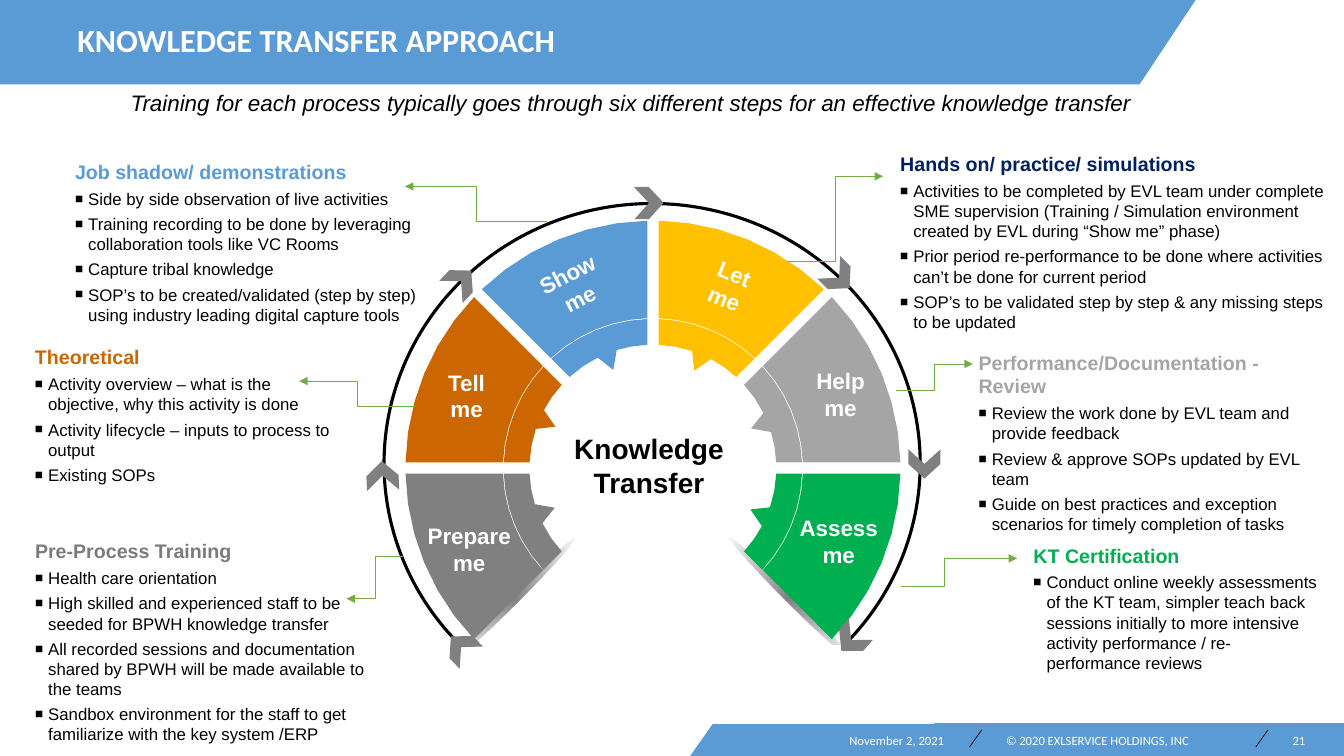
from dataclasses import dataclass
from math import asin, atan2, cos, degrees, radians, sin

from lxml import etree
from pptx import Presentation
from pptx import util as u
from pptx.dml.color import RGBColor
from pptx.enum import shapes, text
from pptx.oxml import parse_xml
from pptx.oxml.ns import nsdecls, qn

Pt = u.Pt


@dataclass(frozen=True)
class Theme:
    blue: str = "5B9BD5"
    orange: str = "CC6600"
    yellow: str = "FFC000"
    silver: str = "A5A5A5"
    green: str = "00B050"
    grey: str = "808080"
    dark_grey: str = "7B7B7B"
    navy: str = "002060"
    pointer: str = "70AD47"
    black: str = "000000"
    white: str = "FFFFFF"
    title: float = 23
    hub: float = 20
    label: float = 16
    heading: float = 14
    body: float = 12
    footer: float = 9


T = Theme()


def add_run(p, words, size, colour, bold=False, italic=False, font="Arial"):
    r = p.add_run()
    r.text = words
    r.font.name, r.font.size = font, Pt(size)
    r.font.bold, r.font.italic = bold, italic
    r.font.color.rgb = RGBColor.from_string(colour)


def add_box(x, y, w, h, inset_x=0, inset_y=0):
    sp = s.shapes.add_textbox(Pt(x), Pt(y), Pt(w), Pt(h))
    tf = sp.text_frame
    tf.word_wrap = True
    tf.margin_left = tf.margin_right = Pt(inset_x)
    tf.margin_top = tf.margin_bottom = Pt(inset_y)
    return sp


prs = Presentation()
prs.slide_width, prs.slide_height = Pt(960), Pt(540)
s = prs.slides.add_slide(prs.slide_layouts[5])

# Title
title = s.shapes.title
title.left, title.top, title.width, title.height = Pt(48), Pt(7), Pt(758), Pt(46)
tf = title.text_frame
tf.word_wrap = True
tf.auto_size = text.MSO_AUTO_SIZE.NONE
tf.vertical_anchor = text.MSO_ANCHOR.MIDDLE
p = tf.paragraphs[0]
p.alignment, p.line_spacing = text.PP_ALIGN.LEFT, 0.9
add_run(p, "KNOWLEDGE TRANSFER APPROACH", T.title, T.white, bold=True, font="Calibri")

# Soft shadows under the two open ends of the wheel
for x, y, turn in [(306, 424, 315), (502.5, 423.5, 45)]:
    sp = s.shapes.add_shape(shapes.MSO_SHAPE.OVAL, Pt(x), Pt(y), Pt(123), Pt(7.2))
    sp.rotation = turn
    sp.shadow.inherit = False
    sp.line.fill.background()
    stops = "".join(
        f'<a:gs pos="{pos}"><a:srgbClr val="{T.black}"><a:alpha val="{alpha}"/></a:srgbClr></a:gs>'
        for pos, alpha in [(0, 50000), (99000, 0)])
    sp.element.spPr.find(qn("a:prstGeom")).addnext(parse_xml(
        f'<a:gradFill {nsdecls("a")}><a:gsLst>{stops}</a:gsLst><a:path path="shape">'
        '<a:fillToRect l="50000" t="50000" r="50000" b="50000"/></a:path></a:gradFill>'))

# Outlines: bands, then a toothed rim and a panel for each 45 degree step
outlines = [
    (T.blue, [(0, 0), (854, 0), (814, 60.3), (0, 60.3)]),
    (T.blue, [(509.5, 516.5), (960, 516.5), (960, 540), (493, 540)]),
]
hub_x, hub_y, half_gap, arc_steps = 466.4, 334.4, 4, 6
panel_out, panel_in, rim_out, rim_in, tooth_tip = 176.8, 107.2, 106.6, 88.2, 75.6
step_colours = [T.grey, T.orange, T.blue, T.yellow, T.silver, T.green]
for i, colour in enumerate(step_colours):
    arcs = {}
    for radius in (panel_out, panel_in, rim_out):
        trim = degrees(asin(half_gap / radius))
        arcs[radius] = [(radius, trim + (45 - 2 * trim) * k / arc_steps)
                        for k in range(arc_steps + 1)]
    trim = degrees(asin(half_gap / rim_in))
    inner = [(rim_in, trim), (rim_in, 10.5), (rim_in, 18.5), (tooth_tip, 23),
             (rim_in, 28), (rim_in, 35), (rim_in, 45 - trim)]
    for polar in (arcs[rim_out] + inner[::-1], arcs[panel_out] + arcs[panel_in][::-1]):
        outlines.append((colour, [
            (hub_x + r * cos(radians(135 + 45 * i + a)),
             hub_y + r * sin(radians(135 + 45 * i + a))) for r, a in polar]))

solids = []
for colour, points in outlines:
    points = [(Pt(x), Pt(y)) for x, y in points]
    builder = s.shapes.build_freeform(*points[0])
    builder.add_line_segments(points[1:], close=True)
    solids.append((builder.convert_to_shape(), colour))
title.element.addprevious(solids[0][0].element)

# Ring, opened at the bottom by white masks, and chevrons in its direction
ring = s.shapes.add_shape(shapes.MSO_SHAPE.OVAL, Pt(274.3), Pt(145.4), Pt(383), Pt(371.5))
ring.shadow.inherit = False
ring.fill.background()
ring.line.color.rgb = RGBColor.from_string(T.black)
ring.line.width = Pt(2.25)
for x, y, w, h in [(265.7, 460.8, 401.8, 56.2), (281.5, 504.7, 207.4, 18.7)]:
    sp = s.shapes.add_shape(shapes.MSO_SHAPE.RECTANGLE, Pt(x), Pt(y), Pt(w), Pt(h))
    solids.append((sp, T.white))
for x, y in [(329.4, 462.2), (273.2, 339.8), (329.4, 200.9), (463.5, 145),
             (599.4, 198.4), (660.3, 331.4), (608, 457.2)]:
    sp = s.shapes.add_shape(shapes.MSO_SHAPE.CHEVRON, Pt(x - 10.5), Pt(y - 11.5), Pt(21), Pt(23))
    sp.rotation = degrees(atan2(y - 331.2, x - 465.8)) + 90
    solids.append((sp, T.grey))

for sp, colour in solids:
    sp.shadow.inherit = False
    sp.fill.solid()
    sp.fill.fore_color.rgb = RGBColor.from_string(colour)
    sp.line.fill.background()

# Labels on the wheel
for words, x, y, w, h, turn in [
        ("Prepare me", 288.4, 369.2, 93.6, 46, 0), ("Tell me", 309.2, 259.8, 48.2, 46, 0),
        ("Show me", 378.3, 181.4, 64, 49, 332.4), ("Let me", 497, 181.4, 48.2, 46, 22.3),
        ("Help me", 571.2, 258.5, 58.3, 45, 0), ("Assess me", 561.8, 363.6, 74.6, 49, 0)]:
    sp = add_box(x, y, w, h, 7.2, 3.6)
    sp.rotation = turn
    p = sp.text_frame.paragraphs[0]
    p.alignment = text.PP_ALIGN.CENTER
    add_run(p, words, T.label, T.white, bold=True)
p = add_box(375.4, 308.2, 176.4, 48.2).text_frame.paragraphs[0]
p.alignment = text.PP_ALIGN.CENTER
add_run(p, "Knowledge Transfer", T.hub, T.black, bold=True)

p = add_box(93.3, 59, 860, 28, 0, 3.6).text_frame.paragraphs[0]
p.line_spacing = 1.06
add_run(p, "Training for each process typically goes through six different steps "
        "for an effective knowledge transfer", T.label, T.black, italic=True)

# Step descriptions
for x, y, w, h, colour, heading, bullets in [
        (25, 385.2, 239, 118, T.dark_grey, "Pre-Process Training", [
            "Health care orientation",
            "High skilled and experienced staff to be seeded for BPWH knowledge transfer",
            "All recorded sessions and documentation shared by BPWH will be made available to the teams",
            "Sandbox environment for the staff to get familiarize with the key system /ERP"]),
        (25, 246.7, 219, 116.6, T.orange, "Theoretical", [
            "Activity overview – what is the objective, why this activity is done",
            "Activity lifecycle – inputs to process to output",
            "Existing SOPs"]),
        (53.6, 114.3, 252.7, 119.5, T.blue, "Job shadow/ demonstrations", [
            "Side by side observation of live activities",
            "Training recording to be done by leveraging collaboration tools like VC Rooms",
            "Capture tribal knowledge",
            "SOP’s to be created/validated (step by step) using industry leading digital capture tools"]),
        (643, 108.6, 315.4, 131, T.navy, "Hands on/ practice/ simulations", [
            "Activities to be completed by EVL team under complete SME supervision (Training / "
            "Simulation environment created by EVL during “Show me” phase)",
            "Prior period re-performance to be done where activities can’t be done for current period",
            "SOP’s to be validated step by step & any missing steps to be updated"]),
        (699, 250.6, 252.7, 118, T.silver, "Performance/Documentation - Review", [
            "Review the work done by EVL team and provide feedback",
            "Review & approve SOPs updated by EVL team",
            "Guide on best practices and exception scenarios for timely completion of tasks"]),
        (738.2, 388.2, 204.5, 91.4, T.green, "KT Certification", [
            "Conduct online weekly assessments of the KT team, simpler teach back sessions initially "
            "to more intensive activity performance / re-performance reviews"])]:
    tf = add_box(x, y, w, h).text_frame
    add_run(tf.paragraphs[0], heading, T.heading, colour, bold=True)
    for words in bullets:
        p = tf.add_paragraph()
        pPr = p._p.get_or_add_pPr()
        pPr.set("marL", str(Pt(9.4)))
        pPr.set("indent", str(-Pt(9.4)))
        etree.SubElement(etree.SubElement(pPr, qn("a:buClr")), qn("a:srgbClr"), val=T.black)
        etree.SubElement(pPr, qn("a:buSzPct"), val="80000")
        etree.SubElement(pPr, qn("a:buFont"), typeface="Arial")
        etree.SubElement(pPr, qn("a:buChar"), char="■")
        p.space_before = Pt(3.6)
        add_run(p, words, T.body, T.black)

# Footer
for x, w, align, words in [
        (510.5, 163.8, text.PP_ALIGN.RIGHT, "November 2, 2021"),
        (718.6, 163.4, text.PP_ALIGN.LEFT, "© 2020 EXLSERVICE HOLDINGS, INC"),
        (905.8, 26.6, text.PP_ALIGN.RIGHT, "21")]:
    p = add_box(x, 523.4, w, 10.8).text_frame.paragraphs[0]
    p.alignment = align
    add_run(p, words, T.footer, T.white, font="Calibri")

# Footer slashes (no bend) and elbow pointers (bend as a share of the width)
for x1, y1, x2, y2, bend in [
        (701.3, 521.3, 692.6, 533.5, None), (905.8, 521.3, 897.1, 533.5, None),
        (391, 158.4, 289.4, 133.2, 0.5), (296.6, 290.2, 213.8, 272.2, 0.5),
        (288, 397.4, 247.7, 427.7, 0.5), (563, 186.5, 630.7, 126, 0.5),
        (643.7, 419, 726.5, 398.9, 0.37), (640, 278.6, 694.8, 260, 0.5)]:
    kind = shapes.MSO_CONNECTOR.ELBOW if bend else shapes.MSO_CONNECTOR.STRAIGHT
    c = s.shapes.add_connector(kind, Pt(x1), Pt(y1), Pt(x2), Pt(y2))
    c.line.color.rgb = RGBColor.from_string(T.pointer if bend else T.black)
    c.line.width = Pt(0.5)
    spPr = c.element.spPr
    if bend:
        etree.SubElement(spPr.find(qn("a:ln")), qn("a:tailEnd"), type="triangle")
        etree.SubElement(spPr.find(qn("a:prstGeom")).find(qn("a:avLst")), qn("a:gd"),
                         name="adj1", fmla=f"val {round(bend * 100000)}")
    etree.SubElement(spPr, qn("a:effectLst"))

prs.save("out.pptx")
